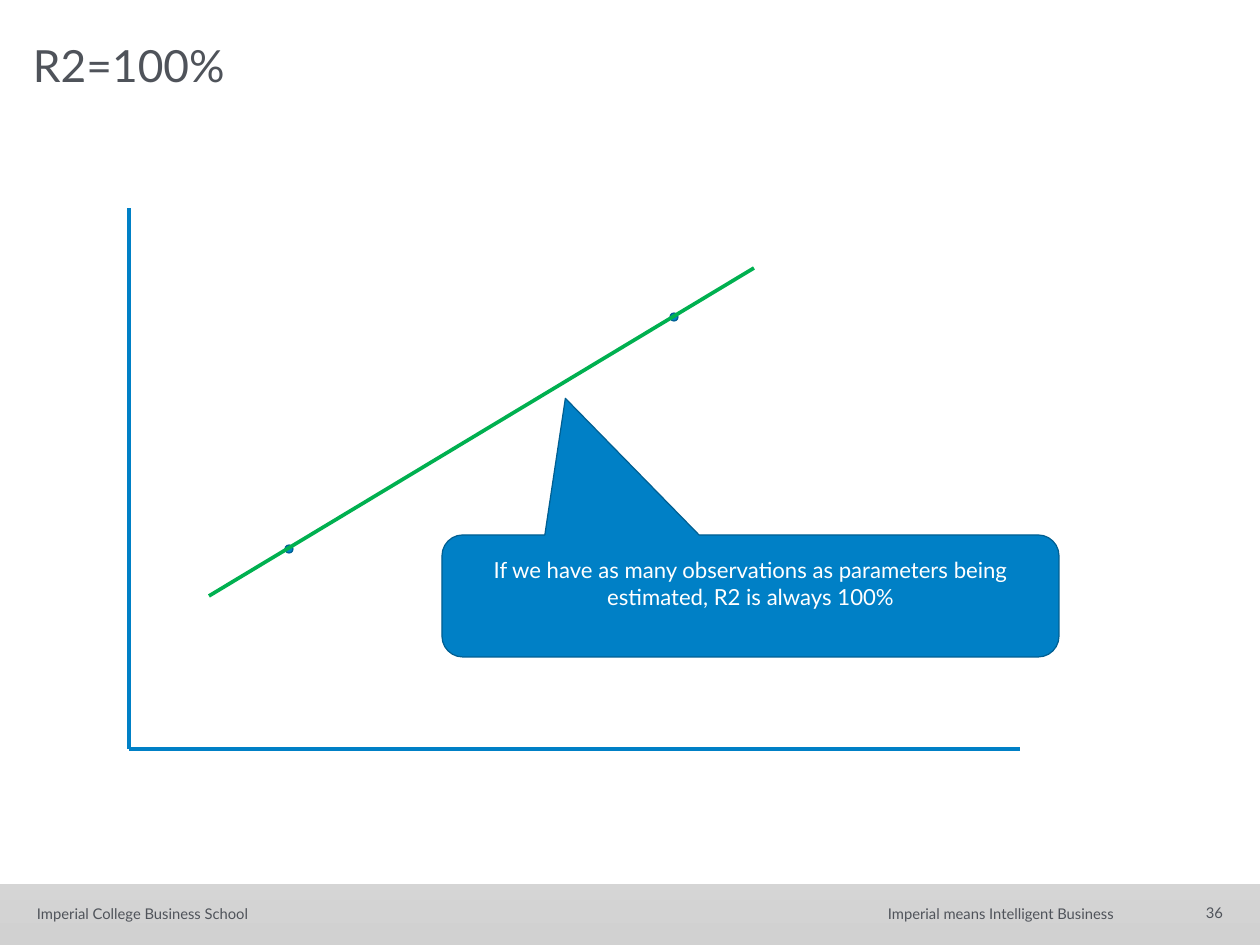
from copy import deepcopy
from dataclasses import dataclass

from lxml import etree
from pptx import Presentation
from pptx.dml.color import RGBColor
from pptx.enum.shapes import MSO_CONNECTOR, MSO_SHAPE
from pptx.enum.text import MSO_ANCHOR, PP_ALIGN
from pptx.oxml.ns import qn
from pptx.util import Pt

EMU_PER_PX = 10321
STRAIGHT = MSO_CONNECTOR.STRAIGHT
RECTANGLE = MSO_SHAPE.RECTANGLE
POINT = MSO_SHAPE.FLOWCHART_CONNECTOR
CALLOUT = MSO_SHAPE.ROUNDED_RECTANGULAR_CALLOUT
TOP, MIDDLE = MSO_ANCHOR.TOP, MSO_ANCHOR.MIDDLE
LEFT, CENTER, RIGHT = PP_ALIGN.LEFT, PP_ALIGN.CENTER, PP_ALIGN.RIGHT


@dataclass(frozen=True)
class Theme:
    font: str = "Lato"
    ink: str = "4F535A"
    white: str = "FFFFFF"
    blue: str = "0080C6"
    outline: str = "005F92"
    green: str = "00B050"
    backdrop: tuple = ((0, "FFFFFF"), (0.5, "FBFBFB"), (1, "D1D1D1"))
    title_size: int = 36
    callout_size: int = 18
    footer_size: int = 12
    line_width: int = 3
    outline_width: int = 1


def px(length):
    return length * EMU_PER_PX


def write_text(frame, text, *, font, size, color, align=LEFT, anchor=TOP, insets=(0, 0, 0, 0)):
    frame.word_wrap = True
    frame.vertical_anchor = anchor
    frame.margin_left, frame.margin_top, frame.margin_right, frame.margin_bottom = map(px, insets)
    paragraph = frame.paragraphs[0]
    paragraph.alignment = align
    run = paragraph.add_run()
    run.text = text
    run.font.name = font
    run.font.size = Pt(size)
    run.font.color.rgb = RGBColor.from_string(color)


class SlideBuilder:
    """Draws styled elements on one slide, with lengths in px."""

    def __init__(self, slide, theme):
        self.slide = slide
        self.theme = theme

    def background(self):
        fill = self.slide.background.fill
        fill.gradient()
        fill.gradient_angle = 270
        stops = self.slide.element.find(".//" + qn("a:gsLst"))
        stops.append(deepcopy(stops[-1]))
        for stop, (position, color) in zip(fill.gradient_stops, self.theme.backdrop):
            stop.position = position
            stop.color.rgb = RGBColor.from_string(color)

    def text(self, text, box, size, **text_format):
        label = self.slide.shapes.add_textbox(*map(px, box))
        write_text(label.text_frame, text, font=self.theme.font, size=size,
                   color=self.theme.ink, **text_format)

    def shape(self, kind, box, fill, outline=None):
        shape = self.slide.shapes.add_shape(kind, *map(px, box))
        shape.shadow.inherit = False
        shape.fill.solid()
        shape.fill.fore_color.rgb = RGBColor.from_string(fill)
        if outline:
            shape.line.color.rgb = RGBColor.from_string(outline)
            shape.line.width = Pt(self.theme.outline_width)
        else:
            shape.line.fill.background()
        return shape

    def line(self, start, end, color):
        line = self.slide.shapes.add_connector(STRAIGHT, *map(px, start + end))
        line.line.color.rgb = RGBColor.from_string(color)
        line.line.width = Pt(self.theme.line_width)
        etree.SubElement(line.element.spPr, qn("a:effectLst"))

    def callout(self, text, box, adjustments):
        callout = self.shape(CALLOUT, box, self.theme.blue, self.theme.outline)
        for index, value in enumerate(adjustments):
            callout.adjustments[index] = value
        write_text(callout.text_frame, text, font=self.theme.font,
                   size=self.theme.callout_size, color=self.theme.white,
                   align=CENTER, anchor=MIDDLE, insets=(9, 4, 9, 30))


def main():
    presentation = Presentation()
    presentation.slide_width, presentation.slide_height = px(1260), px(945)
    theme = Theme()
    builder = SlideBuilder(presentation.slides.add_slide(presentation.slide_layouts[6]), theme)

    builder.background()
    builder.shape(RECTANGLE, (0, 0, 1260, 884), theme.white)
    builder.text("Imperial means Intelligent Business", (774, 905, 340, 18),
                 theme.footer_size, align=RIGHT)
    builder.text("Imperial College Business School", (37, 905, 340, 18), theme.footer_size)
    builder.text("36", (1146, 899, 77, 27), theme.footer_size, align=RIGHT, anchor=MIDDLE)
    builder.text("R2=100%", (33, 38, 495, 54), theme.title_size)

    origin = (129, 749)
    for axis_end in ((129, 208), (1020, 749)):
        builder.line(origin, axis_end, theme.blue)
    for left, top in ((285, 545), (670, 313)):
        builder.shape(POINT, (left, top, 8, 8), theme.blue, theme.outline)
    builder.line((209, 596), (754, 268), theme.green)
    builder.callout("If we have as many observations as parameters being estimated, "
                    "R2 is always 100%", (442, 535, 617, 122), (-0.3, -1.62, 0.17))

    presentation.save("out.pptx")


if __name__ == "__main__":
    main()
